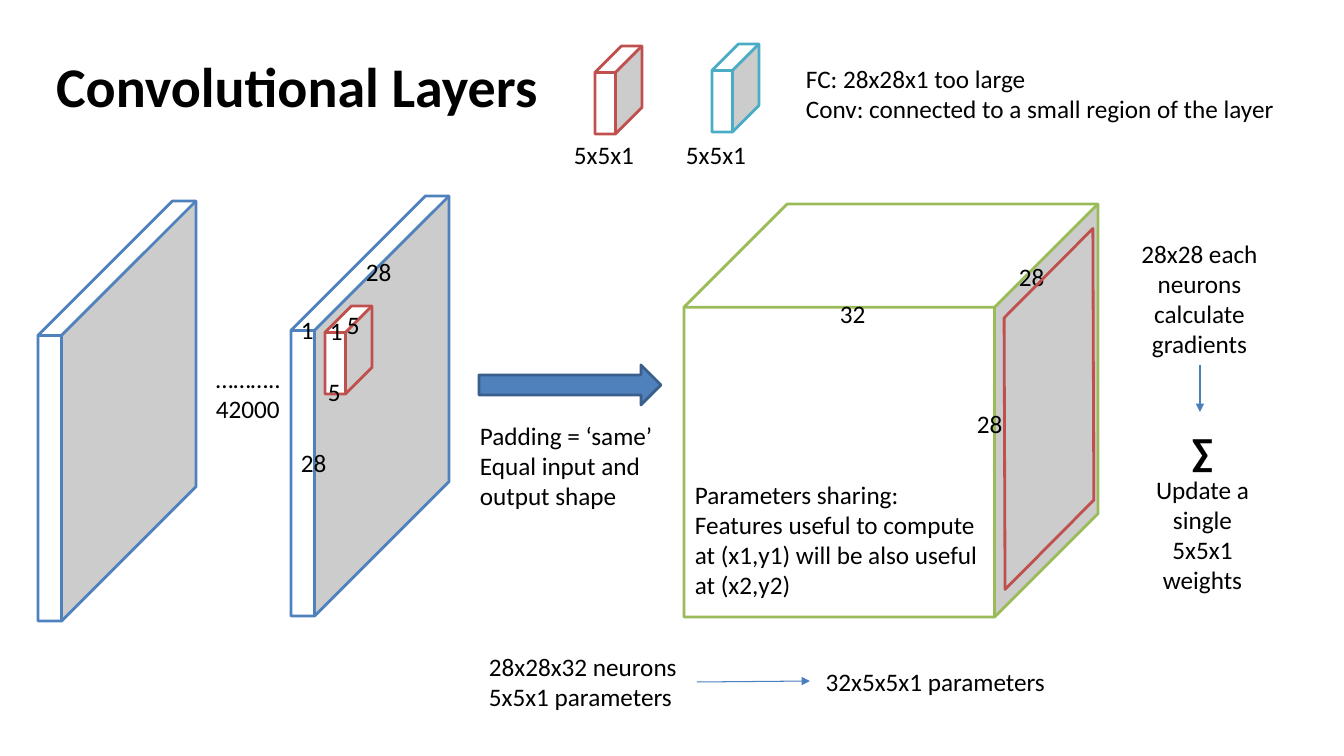
from dataclasses import dataclass

from lxml.etree import SubElement
from pptx import Presentation
from pptx.dml.color import RGBColor
from pptx.enum.shapes import MSO_CONNECTOR as Connector, MSO_SHAPE as Preset
from pptx.enum.text import MSO_AUTO_SIZE as AutoSize, PP_ALIGN as Align
from pptx.oxml.ns import qn
from pptx.util import Pt

WIDTH, HEIGHT = 1344, 756
EMU_PER_PIXEL = 12192000 / WIDTH
FONT = "Calibri"
BLACK, WHITE = "000000", "FFFFFF"
BLUE, DARK_BLUE, ARROW_BLUE = "4F81BD", "3A5F8C", "4B7EBC"
RED, TEAL, GREEN = "C0504D", "4BACC6", "9BBB59"
LAYER_SIZE, LAYER_DEPTH = (158, 420), 0.851
FILTER_SIZE, FILTER_DEPTH = (47, 88), 0.563


@dataclass
class Block:
    """A cube standing for a layer, a filter or the output volume."""
    left: int
    top: int
    size: tuple[int, int]
    depth: float
    color: str


@dataclass
class Label:
    """A text box; without wrapping it holds a short mark."""
    left: int
    top: int
    width: int
    height: int
    lines: list[str]
    wrap: bool = True
    align: Align = Align.LEFT


@dataclass
class Arrow:
    """A thin arrow between two points."""
    start: tuple[int, int]
    end: tuple[int, int]


BLOCKS = [
    Block(291, 196, LAYER_SIZE, LAYER_DEPTH, BLUE),
    Block(38, 201, LAYER_SIZE, LAYER_DEPTH, BLUE),
    Block(325, 306, FILTER_SIZE, FILTER_DEPTH, RED),
    Block(595, 46, FILTER_SIZE, FILTER_DEPTH, RED),
    Block(712, 44, FILTER_SIZE, FILTER_DEPTH, TEAL),
    Block(684, 204, (414, 413), 0.25, GREEN),
]

# Left, top and text of each dimension
DIMENSIONS = [
    (356, 251, "28"), (291, 442, "28"), (291, 309, "1"),
    (337, 304, "5"), (318, 371, "5"), (320, 310, "1"),
    (1009, 256, "28"), (967, 403, "28"), (830, 293, "32"),
]

LABELS = [Label(left, top, 20 + 13 * len(text), 40, [text], wrap=False)
          for left, top, text in DIMENSIONS]
LABELS += [
    Label(206, 358, 86, 71, ["………..", "42000"], wrap=False),
    Label(564, 134, 119, 40, ["5x5x1"]),
    Label(676, 134, 119, 40, ["5x5x1"]),
    Label(470, 415, 228, 102,
          ["Padding = ‘same’", "Equal input and output shape"]),
    Label(479, 646, 218, 71, ["28x28x32 neurons", "5x5x1 parameters"]),
    Label(685, 474, 304, 132,
          ["Parameters sharing:",
           "Features useful to compute at (x1,y1) will be also useful "
           "at (x2,y2)"]),
    Label(1130, 233, 139, 132, ["28x28 each neurons calculate gradients"],
          align=Align.CENTER),
    Label(1133, 422, 139, 179, ["∑", "Update a single 5x5x1 weights"],
          align=Align.CENTER),
    Label(796, 58, 503, 71,
          ["FC: 28x28x1 too large",
           "Conv: connected to a small region of the layer"]),
    Label(810, 661, 266, 40, [" 32x5x5x1 parameters"]),
]

ARROWS = [Arrow((1200, 365), (1200, 412)), Arrow((697, 682), (810, 681))]


def px(*lengths: int) -> list[int]:
    """Turn pixels into EMU."""
    return [round(length * EMU_PER_PIXEL) for length in lengths]


def rgb(color: str) -> RGBColor:
    """Turn a hex string into a colour."""
    return RGBColor.from_string(color)


def set_font(paragraph, size: int, bold: bool = False) -> None:
    """Give a paragraph the slide's font."""
    font = paragraph.font
    font.name, font.size, font.bold = FONT, Pt(size), bold
    font.color.rgb = rgb(BLACK)


def add_title(slide, text: str) -> None:
    """Place and format the title placeholder."""
    title = slide.shapes.title
    title.left, title.top, title.width, title.height = px(46, 46, 547, 78)
    frame = title.text_frame
    frame.text = text
    frame.auto_size = AutoSize.NONE
    frame.paragraphs[0].alignment = Align.LEFT
    set_font(frame.paragraphs[0], 40, bold=True)


def add_preset(slide, preset, box: tuple, line: str, fill: str | None,
               adjustment: float | None = None):
    """Add an outlined preset shape, left open when it has no fill."""
    shape = slide.shapes.add_shape(preset, *px(*box))
    shape.shadow.inherit = False
    if fill:
        shape.fill.solid()
        shape.fill.fore_color.rgb = rgb(fill)
    else:
        shape.fill.background()
    shape.line.color.rgb = rgb(line)
    shape.line.width = Pt(2)
    if adjustment is not None:
        shape.adjustments[0] = adjustment
    return shape


def add_block(slide, block: Block) -> None:
    """Draw a cube."""
    add_preset(slide, Preset.CUBE, (block.left, block.top, *block.size),
               block.color, WHITE, block.depth)


def add_label(slide, label: Label) -> None:
    """Draw a text box, with a large bold sum sign where there is one."""
    box = slide.shapes.add_textbox(
        *px(label.left, label.top, label.width, label.height))
    frame = box.text_frame
    frame.text = "\n".join(label.lines)
    frame.word_wrap = label.wrap
    frame.auto_size = AutoSize.SHAPE_TO_FIT_TEXT
    for paragraph in frame.paragraphs:
        is_sum = paragraph.text == "∑"
        paragraph.alignment = label.align
        set_font(paragraph, 28 if is_sum else 18, bold=is_sum)


def add_arrow(slide, arrow: Arrow) -> None:
    """Draw a thin line with an arrowhead at its end."""
    connector = slide.shapes.add_connector(
        Connector.STRAIGHT, *px(*arrow.start, *arrow.end))
    connector.line.color.rgb = rgb(ARROW_BLUE)
    connector.line.width = Pt(0.75)
    properties = connector._element.spPr
    SubElement(properties.find(qn("a:ln")), qn("a:tailEnd"), type="triangle")
    SubElement(properties, qn("a:effectLst"))


def main() -> None:
    """Build and save the slide."""
    presentation = Presentation()
    presentation.slide_width, presentation.slide_height = px(WIDTH, HEIGHT)
    slide = presentation.slides.add_slide(presentation.slide_layouts[5])
    add_title(slide, "Convolutional Layers")
    for block in BLOCKS:
        add_block(slide, block)
    add_preset(slide, Preset.RIGHT_ARROW, (479, 365, 182, 40), DARK_BLUE, BLUE)
    for label in LABELS:
        add_label(slide, label)
    feature_map = add_preset(slide, Preset.PARALLELOGRAM,
                             (890, 313, 318, 192), RED, None, 1.0)
    feature_map.rotation = 314.8
    for arrow in ARROWS:
        add_arrow(slide, arrow)
    presentation.save("out.pptx")


main()
